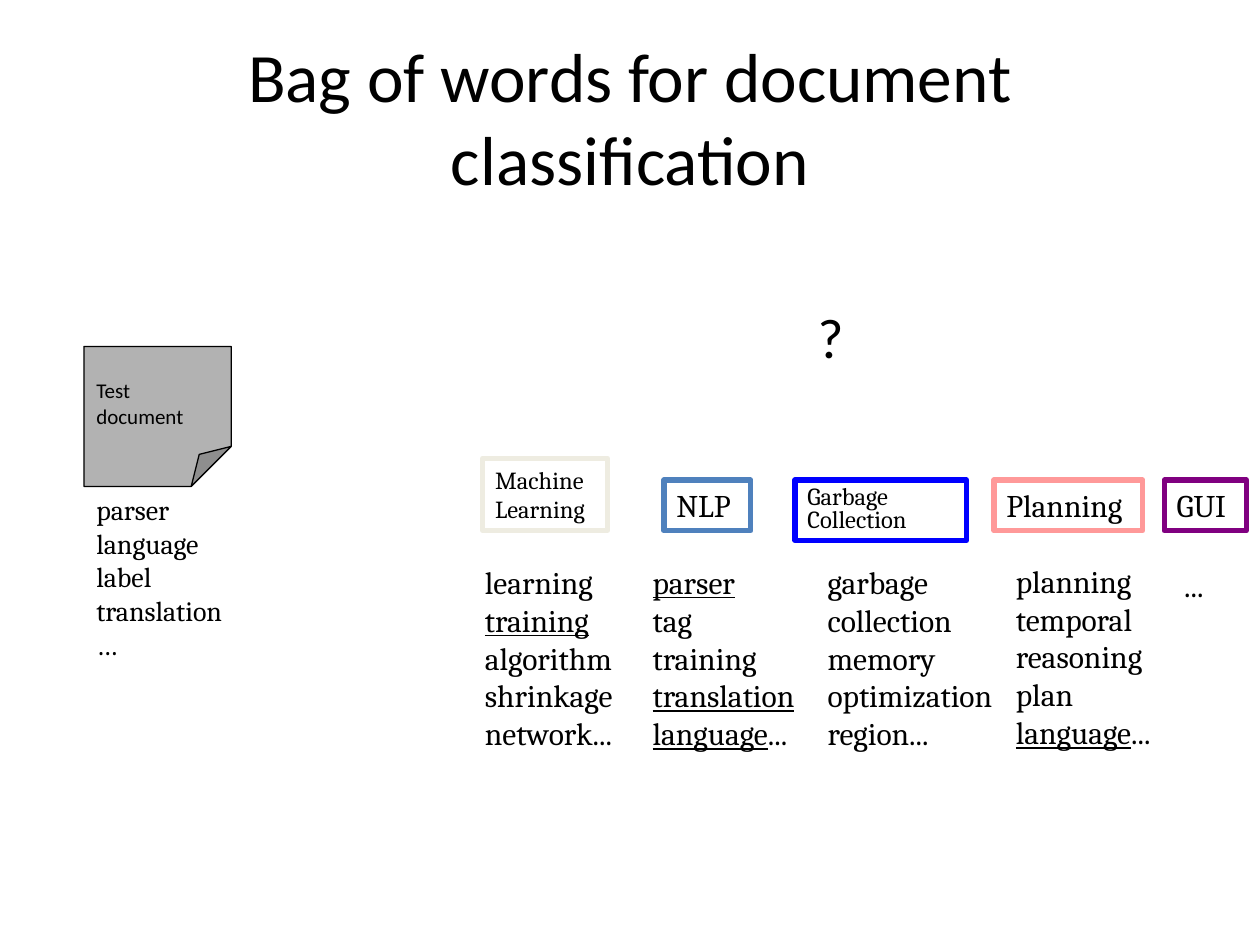
from lxml.etree import SubElement
from pptx import Presentation
from pptx.dml.color import RGBColor
from pptx.enum.shapes import MSO_SHAPE
from pptx.enum.text import MSO_ANCHOR, MSO_AUTO_SIZE, PP_ALIGN
from pptx.oxml.ns import qn
from pptx.util import Pt


def rgb(value):
    return RGBColor.from_string(value)


def write(sp, text, size=18, font="Cambria", color="000000", align=PP_ALIGN.LEFT,
          anchor=MSO_ANCHOR.TOP, wrap=False, fit=MSO_AUTO_SIZE.SHAPE_TO_FIT_TEXT,
          spacing=None):
    """Write one paragraph per line; words between asterisks are underlined."""
    tf = sp.text_frame
    tf.word_wrap = wrap
    tf.auto_size = fit
    tf.vertical_anchor = anchor
    for i, line in enumerate(text.split("\n")):
        p = tf.paragraphs[0] if i == 0 else tf.add_paragraph()
        p.alignment = align
        if spacing:
            p.line_spacing = spacing
        for j, part in enumerate(line.split("*")):
            if part:
                r = p.add_run()
                r.text = part
                r.font.size = Pt(size)
                r.font.name = font
                r.font.color.rgb = rgb(color)
                if j % 2:
                    r.font.underline = True


prs = Presentation()
prs.slide_width, prs.slide_height = Pt(720), Pt(540)
s = prs.slides.add_slide(prs.slide_layouts[5])

# Title
title = s.shapes.title
title.left, title.top, title.width, title.height = Pt(36), Pt(21.6), Pt(648), Pt(90)
write(title, "Bag of words for document classification", size=39.6, font="Calibri",
      align=PP_ALIGN.CENTER, anchor=MSO_ANCHOR.MIDDLE, wrap=True, fit=MSO_AUTO_SIZE.NONE)

# Class labels: text, left, top, width, height, outline, text format
small = {"size": 14, "wrap": True}
classes = [
    ("Planning", 568, 274.3, 85, 29, "FF9999", {}),
    ("GUI", 665.3, 274.3, 47, 29, "800080", {}),
    ("Garbage\nCollection", 454.3, 274.3, 98, 34.5, "0000FF", {**small, "spacing": 0.8}),
    ("Machine Learning", 275.8, 262, 71.3, 41, "EEECE1", small),
    ("NLP", 379.4, 274.3, 49.7, 29, "4F81BD", {}),
]
for text, left, top, width, height, line, fmt in classes:
    sp = s.shapes.add_shape(MSO_SHAPE.RECTANGLE, Pt(left), Pt(top), Pt(width), Pt(height))
    sp.shadow.inherit = False
    sp.fill.background()
    sp.line.color.rgb = rgb(line)
    sp.line.width = Pt(3)
    write(sp, text, **fmt)

# Test document, with the size of its fold set in XML
doc = s.shapes.add_shape(MSO_SHAPE.FOLDED_CORNER, Pt(48), Pt(198), Pt(84.2), Pt(80))
fold = next(doc.element.iter(qn("a:avLst")))
SubElement(fold, qn("a:gd"), name="adj", fmla="val 28600")
doc.shadow.inherit = False
doc.fill.solid()
doc.fill.fore_color.rgb = rgb("B2B2B2")
doc.line.color.rgb = rgb("000000")
doc.line.width = Pt(0.75)
doc.text_frame.margin_top = Pt(18)
write(doc, "Test\ndocument", size=12, font="Calibri", fit=MSO_AUTO_SIZE.NONE)

# Word lists and question mark: text, left, top, width, height, text format
words = [
    ("parser\nlanguage\nlabel\ntranslation\n…", 48, 278, 89.3, 104.4, {"size": 16}),
    ("learning\n*training*\nalgorithm\nshrinkage\nnetwork...", 270, 318.2, 93.6, 116.6, {}),
    ("*parser*\ntag\ntraining\n*translation*\n*language*...", 365.8, 318.2, 104.4, 116.6, {}),
    ("garbage\ncollection\nmemory\noptimization\nregion...", 465.8, 318.2, 111.6, 116.6, {}),
    ("planning\ntemporal\nreasoning\nplan\n*language*...", 573.4, 317.5, 104.4, 116.6, {}),
    ("...", 669.6, 319.7, 29.5, 28.8, {}),
    ("?", 460.1, 169.2, 29.5, 46, {"size": 32, "font": "Calibri"}),
]
for text, left, top, width, height, fmt in words:
    sp = s.shapes.add_textbox(Pt(left), Pt(top), Pt(width), Pt(height))
    write(sp, text, **fmt)

prs.save("out.pptx")
